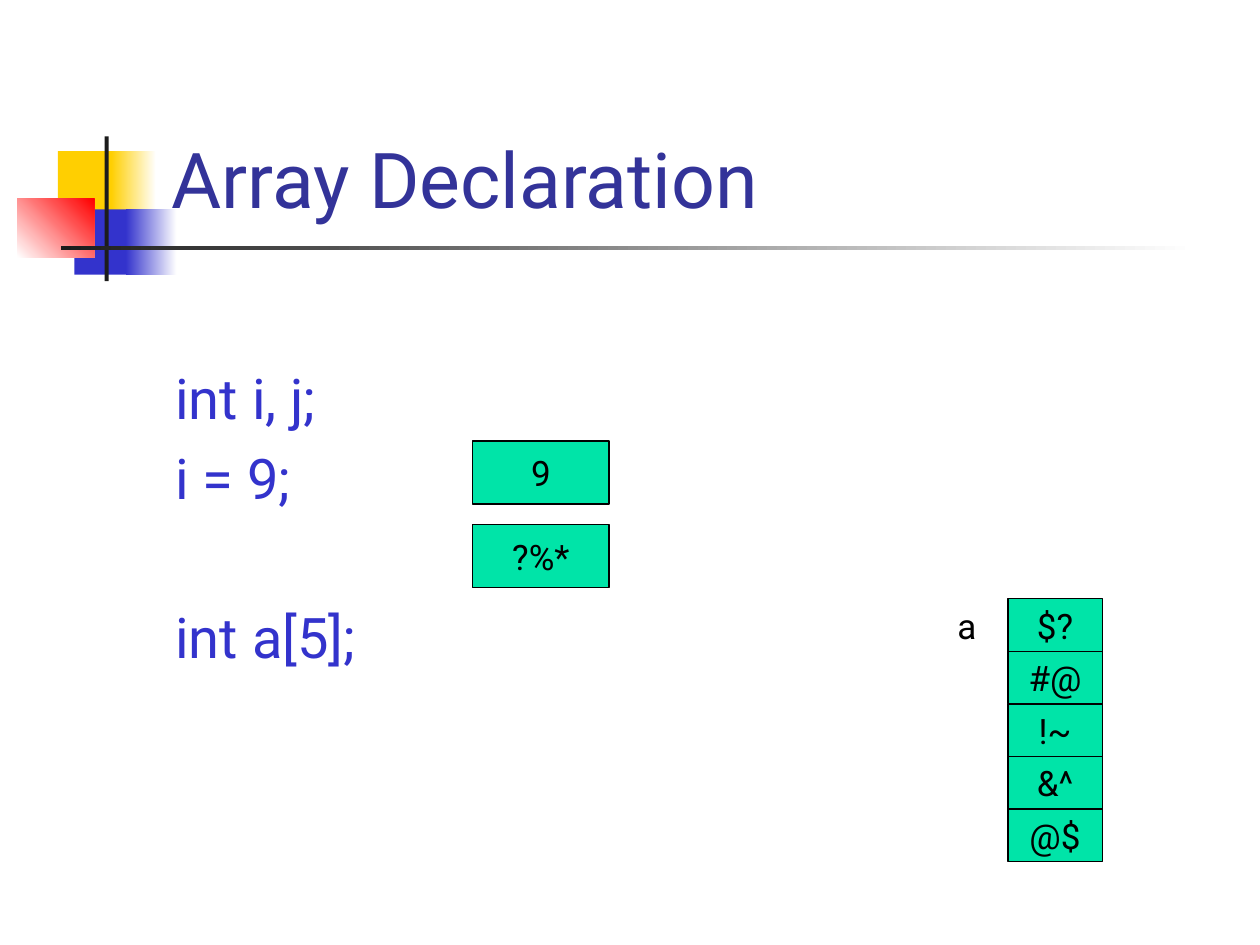
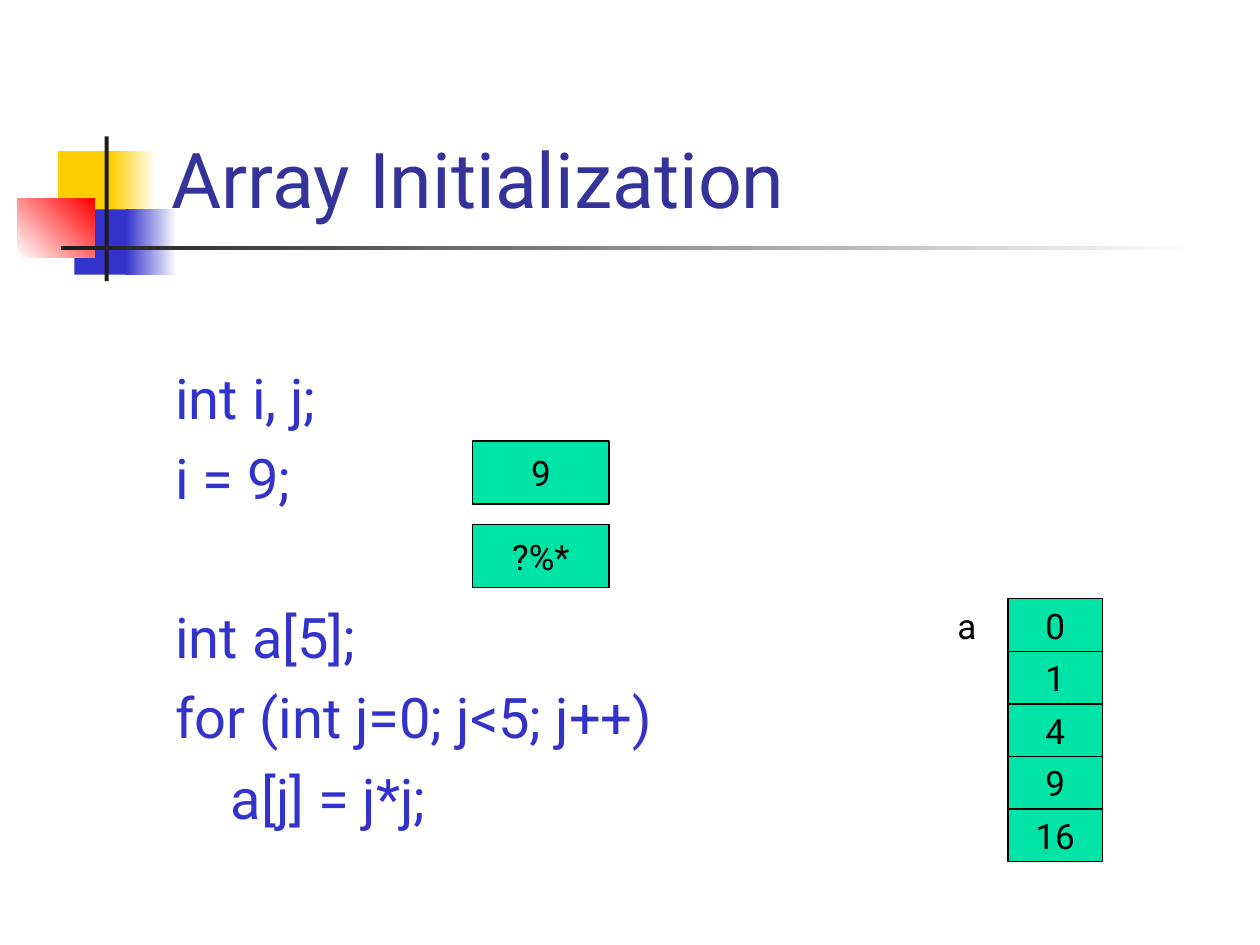
from lxml.etree import SubElement
from pptx import Presentation
from pptx.dml.color import RGBColor
from pptx.enum.shapes import MSO_SHAPE
from pptx.enum.text import MSO_ANCHOR, MSO_AUTO_SIZE, PP_ALIGN
from pptx.oxml.ns import qn
from pptx.util import Cm, Pt

FONT = "Roboto"
COLORS = {
    "title": "333399", "code": "3333CC", "cell": "00E4A8", "ink": "000000",
    "yellow": "FFCF01", "blue": "3333CC", "red": "FF0000",
    "rule": "1C1C1C", "white": "FFFFFF",
}
# Accent blocks: left, top, width, height in cm, colours from start to end, angle
ACCENTS = [
    (1.17, 3.05, 1.22, 1.32, ["yellow"], 0),
    (2.24, 3.05, 0.91, 1.32, ["yellow", "white"], 0),
    (1.5, 4.22, 1.17, 1.32, ["blue"], 0),
    (2.54, 4.22, 1.02, 1.32, ["blue", "white"], 0),
    (0.35, 4.01, 1.55, 1.18, ["white", "red"], 45),
    (2.11, 2.75, 0.08, 2.92, ["rule"], 0),
    (1.23, 4.95, 22.86, 0.09, ["rule", "white"], 0),
]
# Code lines: text, space before in points, first-line indent in cm
HANG = 0.97
DECLARATION = [("int i, j;", 0, -HANG), ("i = 9;", 7.5, -HANG),
               ("int a[5];", 52.5, -HANG)]
LOOP = [("for (int j=0; j<5; j++)", 7.5, -HANG), ("a[j] = j*j;", 7.5, 0.15)]
LESSONS = [
    ("Array Declaration", DECLARATION, ["$?", "#@", "!~", "&^", "@$"]),
    ("Array Initialization", DECLARATION + LOOP, [str(j * j) for j in range(5)]),
]
VARIABLES = ["9", "?%*"]


def style(paragraph, size, color):
    """Set font, size and colour on every run of a paragraph."""
    for run in paragraph.runs:
        run.font.name = FONT
        run.font.size = Pt(size)
        run.font.color.rgb = RGBColor.from_string(COLORS[color])


def add_cell(slide, value, left, top, width, height):
    """Draw one memory cell, measured in cm, with its value centred."""
    cell = slide.shapes.add_shape(
        MSO_SHAPE.RECTANGLE, Cm(left), Cm(top), Cm(width), Cm(height))
    cell.shadow.inherit = False
    cell.fill.solid()
    cell.fill.fore_color.rgb = RGBColor.from_string(COLORS["cell"])
    cell.line.color.rgb = RGBColor.from_string(COLORS["ink"])
    cell.line.width = Pt(0.75)
    frame = cell.text_frame
    frame.word_wrap = False
    frame.vertical_anchor = MSO_ANCHOR.MIDDLE
    frame.text = value
    frame.paragraphs[0].alignment = PP_ALIGN.CENTER
    style(frame.paragraphs[0], 20, "ink")


deck = Presentation()
deck.slide_width, deck.slide_height = Cm(25.4), Cm(19.05)
layout = deck.slide_layouts[1]
for footer in [p for p in layout.placeholders if p.placeholder_format.idx >= 10]:
    footer.element.getparent().remove(footer.element)
slides = [deck.slides.add_slide(layout) for lesson in LESSONS]

# Shared accents: drawn once, then moved to the layout
accents = []
for left, top, width, height, tones, angle in ACCENTS:
    accent = slides[0].shapes.add_shape(
        MSO_SHAPE.RECTANGLE, Cm(left), Cm(top), Cm(width), Cm(height))
    accent.shadow.inherit = False
    accent.line.fill.background()
    if len(tones) == 1:
        accent.fill.solid()
        accent.fill.fore_color.rgb = RGBColor.from_string(COLORS[tones[0]])
    else:
        accent.fill.gradient()
        accent.fill.gradient_angle = angle
        for stop, tone, position in zip(accent.fill.gradient_stops, tones, (0, 1)):
            stop.color.rgb = RGBColor.from_string(COLORS[tone])
            stop.position = position
    accents.append(accent)
for accent in accents:
    layout.shapes.element.append(accent.element)

for slide, (heading, code, array) in zip(slides, LESSONS):
    title = slide.shapes.title
    title.left, title.top, title.width, title.height = (
        Cm(3.2), Cm(0.58), Cm(21.64), Cm(4.06))
    title.text_frame.text = heading
    title.text_frame.auto_size = MSO_AUTO_SIZE.NONE
    title.text_frame.vertical_anchor = MSO_ANCHOR.BOTTOM
    title.text_frame.paragraphs[0].alignment = PP_ALIGN.LEFT
    style(title.text_frame.paragraphs[0], 44, "title")

    body = slide.placeholders[1]
    body.left, body.top, body.width, body.height = (
        Cm(3.28), Cm(5.61), Cm(21.59), Cm(11.43))
    body.text_frame.auto_size = MSO_AUTO_SIZE.NONE
    body.text_frame.margin_top = Cm(1.71)
    body.text_frame.text = "\n".join(text for text, space, indent in code)
    for line, (text, space, indent) in zip(body.text_frame.paragraphs, code):
        line.space_before = Pt(space)
        properties = line._p.get_or_add_pPr()
        properties.set("marL", str(Cm(HANG)))
        properties.set("indent", str(Cm(indent)))
        SubElement(properties, qn("a:buNone"))
        style(line, 32, "code")

    for row, value in enumerate(VARIABLES):
        add_cell(slide, value, 9.53, 8.89 + row * 1.69, 2.75, 1.27)
    for row, value in enumerate(array):
        add_cell(slide, value, 20.32, 12.07 + row * 1.06, 1.9, 1.06)

    array_name = slide.shapes.add_textbox(Cm(19.05), Cm(12.07), Cm(1.69), Cm(1.1))
    array_name.text_frame.word_wrap = True
    array_name.text_frame.text = "a"
    style(array_name.text_frame.paragraphs[0], 20, "ink")

deck.save("out.pptx")
